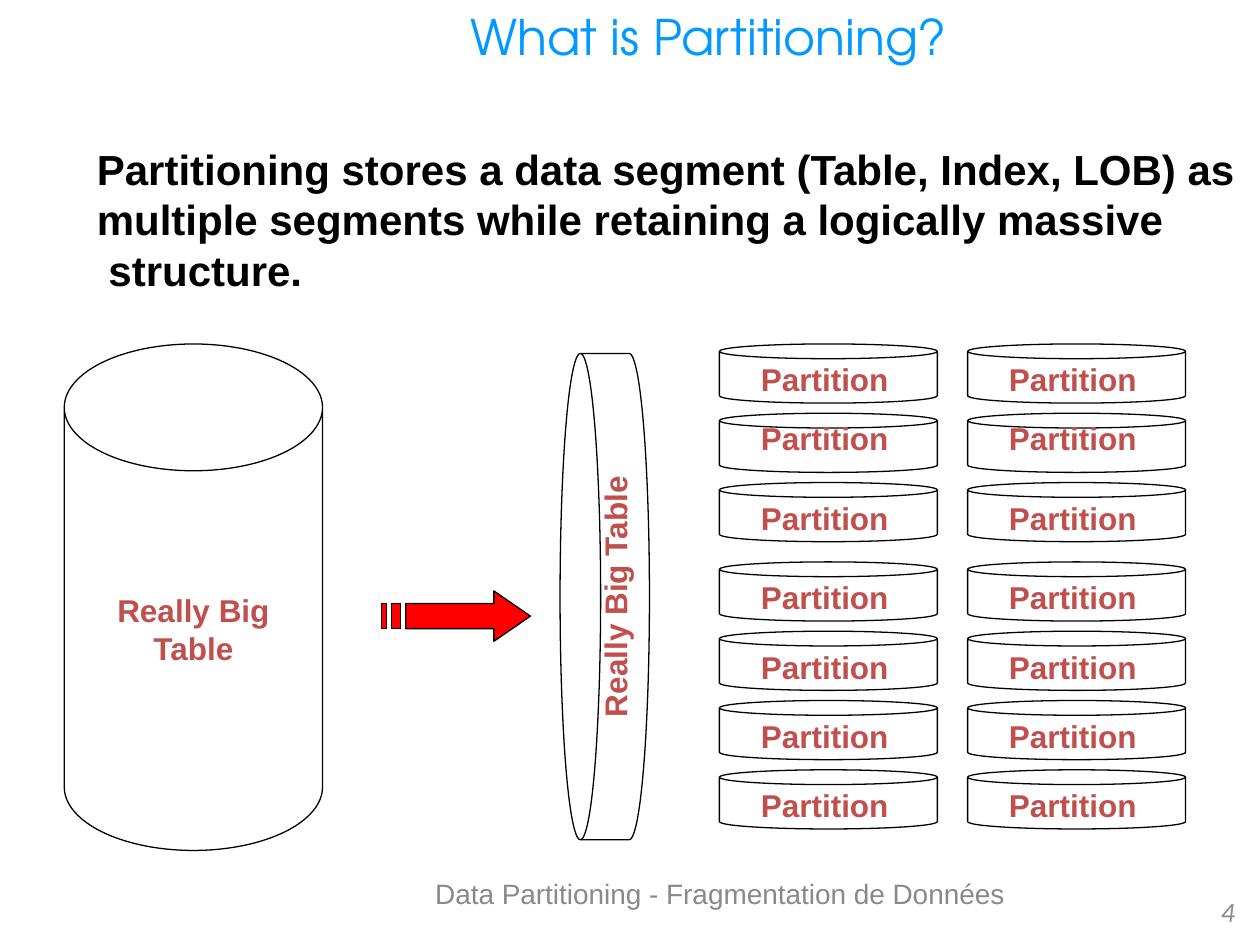
from pptx import Presentation
from pptx.dml.color import RGBColor
from pptx.enum import shapes, text
from pptx.util import Inches, Pt

# Content
TITLE = "What is Partitioning?"
STATEMENT = [
    "Partitioning stores a data segment (Table, Index, LOB) as",
    "multiple segments while retaining a logically massive",
    " structure.",
]
FOOTER = "Data Partitioning - Fragmentation de Données"
PAGE = "4"
BIG_TABLE = ["Really Big", "Table"]
TURNED_TABLE = ["Really Big Table"]
PARTITION = ["Partition"]

# Layout in inches
COLUMNS = [5.71, 7.68]
ROW_GROUPS = [(2.73, 3), (4.46, 4)]  # first top, number of rows
ROW_STEP = 0.55
RAISED_ROW = 1  # its label sits level with the top of the can
ARROW_PARTS = [
    [(3.92, 4.69), (3.92, 4.79), (3.22, 4.79), (3.22, 4.99),
     (3.92, 4.99), (3.92, 5.09), (4.21, 4.89)],
    [(3.11, 4.79), (3.11, 4.99), (3.18, 4.99), (3.18, 4.79)],
    [(3.03, 4.79), (3.03, 4.99), (3.07, 4.99), (3.07, 4.79)],
]
LABEL = dict(size=18, color="C0504D", bold=True)


def rgb(value):
    return RGBColor.from_string(value)


def write(shape, lines, size, color, font="Arial", bold=False, italic=False,
          align="LEFT", anchor="TOP", wrap=True):
    frame = shape.text_frame
    frame.text = "\n".join(lines)
    frame.word_wrap = wrap
    frame.vertical_anchor = getattr(text.MSO_ANCHOR, anchor)
    for paragraph in frame.paragraphs:
        paragraph.alignment = getattr(text.PP_ALIGN, align)
        for run in paragraph.runs:
            run.font.name = font
            run.font.size = Pt(size)
            run.font.color.rgb = rgb(color)
            run.font.bold = bold
            run.font.italic = italic


def add_text(slide, box, lines, **style):
    write(slide.shapes.add_textbox(*map(Inches, box)), lines, **style)


def outline(shape):
    shape.shadow.inherit = False
    shape.line.color.rgb = rgb("000000")
    shape.line.width = Pt(0.75)


def add_can(slide, box, depth=0.25):
    can = slide.shapes.add_shape(shapes.MSO_SHAPE.CAN, *map(Inches, box))
    can.adjustments[0] = depth
    can.fill.background()
    outline(can)
    return can


def add_arrow(slide):
    # The builder rounds points to whole units, so they are given in EMU
    first, *others = [[(Inches(x), Inches(y)) for x, y in part] for part in ARROW_PARTS]
    builder = slide.shapes.build_freeform(*first[0])
    builder.add_line_segments(first[1:], close=True)
    for part in others:
        builder.move_to(*part[0])
        builder.add_line_segments(part[1:], close=True)
    arrow = builder.convert_to_shape()
    arrow.fill.solid()
    arrow.fill.fore_color.rgb = rgb("FF0000")
    outline(arrow)


def main():
    presentation = Presentation()
    presentation.slide_width, presentation.slide_height = Inches(10), Inches(7.5)
    slide = presentation.slides.add_slide(presentation.slide_layouts[5])

    # Title and statement
    title = slide.shapes.title
    title.left, title.top, title.width, title.height = map(Inches, (1.75, 0, 7.75, 0.84))
    write(title, [TITLE], 28, "0099FF", "TeX Gyre Adventor", align="CENTER")
    add_text(slide, (0.67, 1.09, 9.25, 1.3), STATEMENT,
             size=24, color="000000", bold=True, wrap=False)

    # Big table, upright and turned, with the arrow between
    big = add_can(slide, (0.51, 2.73, 2.05, 4.02), 0.491)
    turned = add_can(slide, (2.87, 4.38, 3.86, 0.71), 0.454)
    turned.rotation = 270
    for can, lines in [(big, BIG_TABLE), (turned, TURNED_TABLE)]:
        write(can, lines, align="CENTER", anchor="MIDDLE", wrap=False, **LABEL)
    add_arrow(slide)

    # Grid of partitions
    tops = [start + ROW_STEP * i for start, count in ROW_GROUPS for i in range(count)]
    for left in COLUMNS:
        for row, top in enumerate(tops):
            add_can(slide, (left, top, 1.73, 0.47))
            drop = 0 if row == RAISED_ROW else 0.08
            add_text(slide, (left + 0.23, top + drop, 1.33, 0.4), PARTITION, **LABEL)

    # Footer and page number
    add_text(slide, (2.48, 6.91, 6.47, 0.37), [FOOTER],
             size=16, color="898989", align="CENTER")
    add_text(slide, (9.11, 7.03, 0.79, 0.4), [PAGE], size=16, color="8C8C8C",
             font="Calibri", italic=True, align="RIGHT", anchor="MIDDLE")

    presentation.save("out.pptx")


if __name__ == "__main__":
    main()
